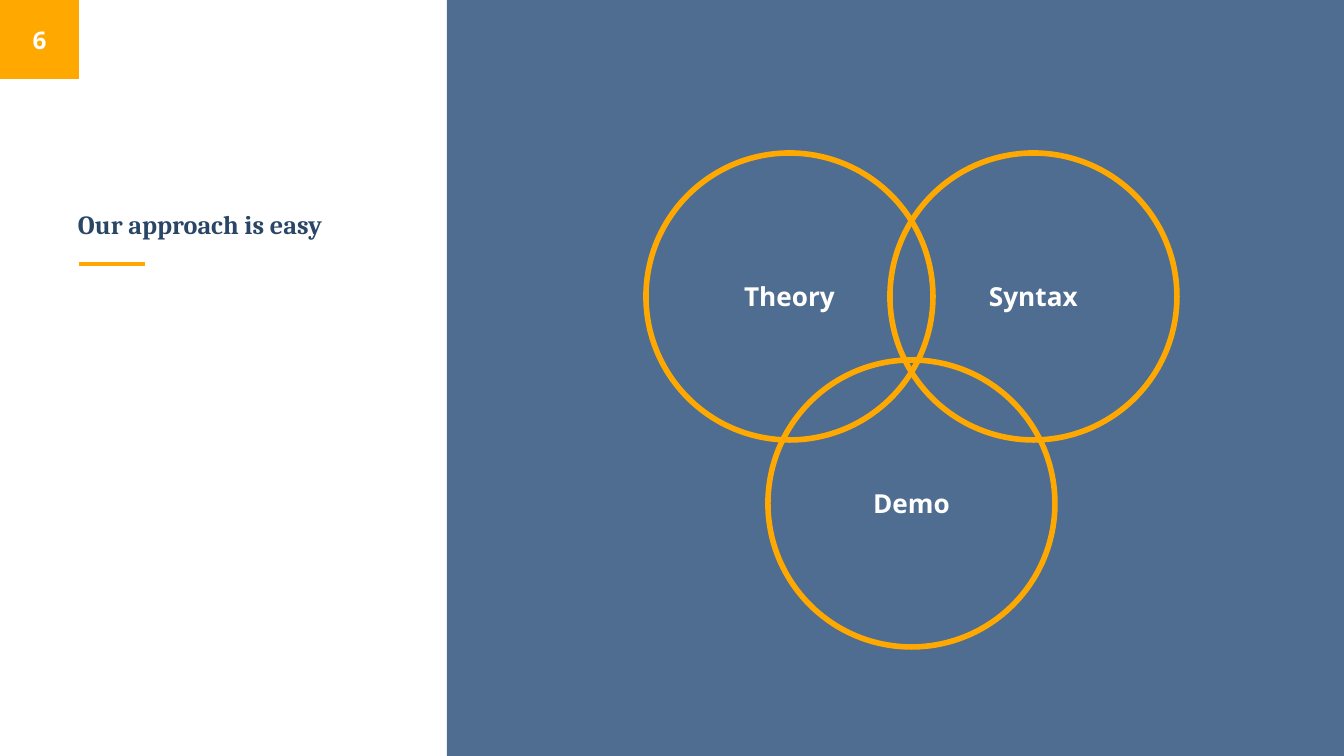
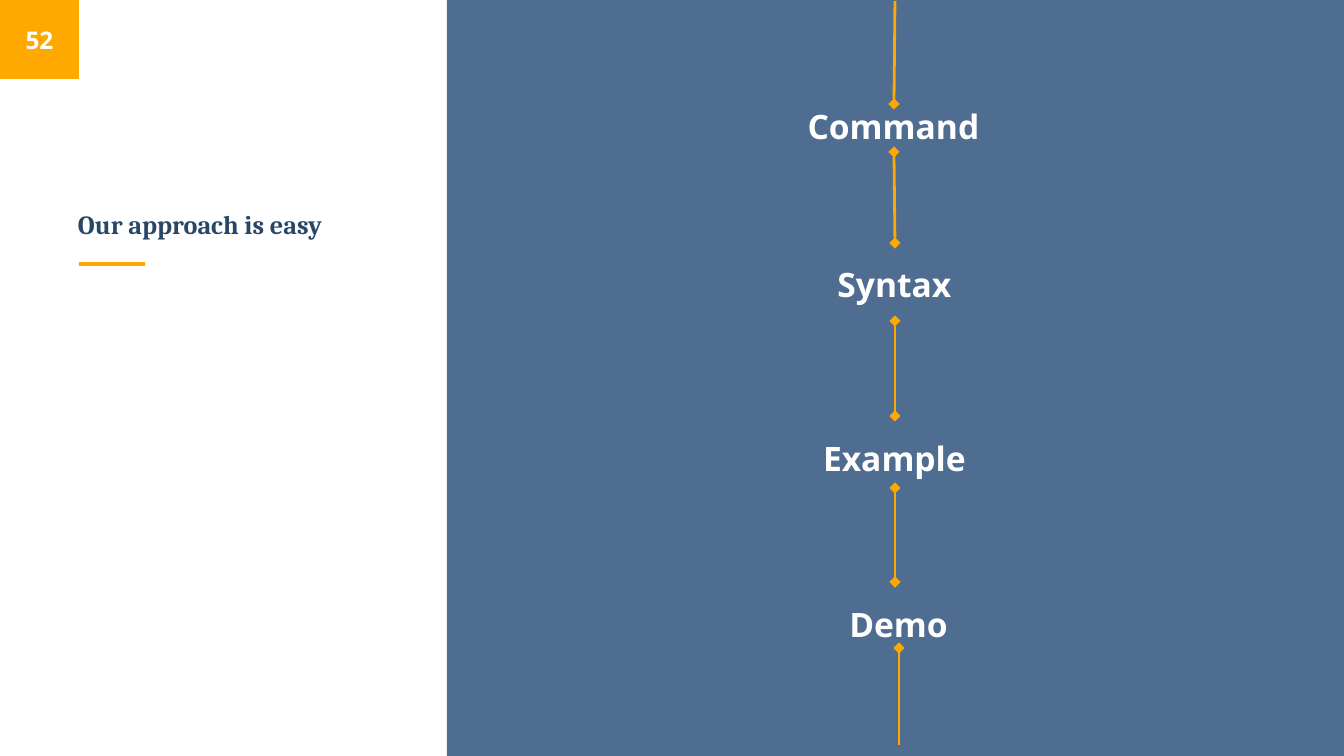
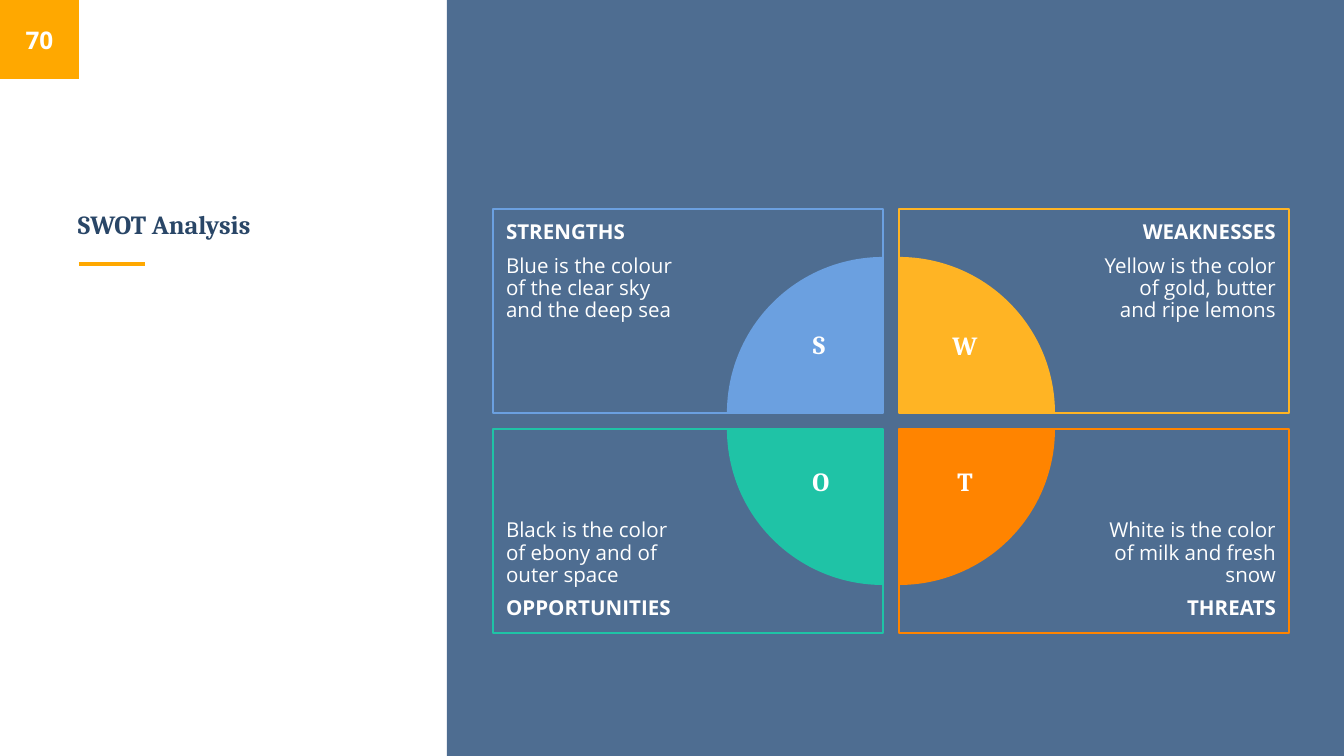
from lxml import etree
from pptx import Presentation
from pptx import util as u
from pptx.dml.color import RGBColor
from pptx.enum import shapes, text
from pptx.oxml import ns

EMU_PER_PX = 914400 / 134.4
SLIDE_W, SLIDE_H = 1344, 756
PANEL_LEFT = 447
BADGE = 79
INSET = 13
AMBER, NAVY, PANEL, WHITE = "FFA800", "294667", "325680", "FFFFFF"
HEADING, BODY = "Cambria", "Open Sans"
LEFT, CENTER, RIGHT = text.PP_ALIGN.LEFT, text.PP_ALIGN.CENTER, text.PP_ALIGN.RIGHT
TOP, MIDDLE, BOTTOM = text.MSO_ANCHOR.TOP, text.MSO_ANCHOR.MIDDLE, text.MSO_ANCHOR.BOTTOM


def px(length):
    return u.Emu(round(length * EMU_PER_PX))


def rgb(hex_code):
    return RGBColor.from_string(hex_code)


def style_font(paragraph, size, color=WHITE, name=BODY, bold=True):
    for run in paragraph.runs:
        run.font.size = u.Pt(size)
        run.font.name = name
        run.font.bold = bold
        run.font.color.rgb = rgb(color)


def set_frame(frame, anchor, insets=(INSET,) * 4):
    frame.word_wrap = True
    frame.vertical_anchor = anchor
    frame.margin_left, frame.margin_top, frame.margin_right, frame.margin_bottom = map(px, insets)


def add_label(slide, words, box, size, color=WHITE, name=BODY, align=CENTER,
              anchor=TOP, insets=(INSET,) * 4):
    label = slide.shapes.add_textbox(*map(px, box))
    set_frame(label.text_frame, anchor, insets)
    label.text_frame.text = words
    paragraph = label.text_frame.paragraphs[0]
    paragraph.alignment = align
    style_font(paragraph, size, color, name)


def add_figure(slide, kind, box, fill=None, outline=None, weight=1):
    figure = slide.shapes.add_shape(kind, *map(px, box))
    figure.shadow.inherit = False
    if fill:
        figure.fill.solid()
        figure.fill.fore_color.rgb = rgb(fill)
    else:
        figure.fill.background()
    if outline:
        figure.line.color.rgb = rgb(outline)
        figure.line.width = u.Pt(weight)
    else:
        figure.line.fill.background()
    return figure


def add_line(slide, start, end, weight, diamonds=()):
    line = slide.shapes.add_connector(shapes.MSO_CONNECTOR.STRAIGHT, *map(px, start + end))
    line.line.color.rgb = rgb(AMBER)
    line.line.width = u.Pt(weight)
    outline = line.line._get_or_add_ln()
    for tip in diamonds:
        etree.SubElement(outline, ns.qn(f"a:{tip}End"), type="diamond")
    etree.SubElement(line._element.spPr, ns.qn("a:effectLst"))


def add_base(deck, title, number):
    slide = deck.slides.add_slide(deck.slide_layouts[6])
    panel = add_figure(slide, shapes.MSO_SHAPE.RECTANGLE,
                       (PANEL_LEFT, 0, SLIDE_W - PANEL_LEFT, SLIDE_H), PANEL)
    panel_color = panel._element.spPr.find(".//" + ns.qn("a:srgbClr"))
    etree.SubElement(panel_color, ns.qn("a:alpha"), val="86000")
    add_line(slide, (79, 264), (145, 264), 2.25)
    add_figure(slide, shapes.MSO_SHAPE.RECTANGLE, (0, 0, BADGE, BADGE), AMBER)
    add_label(slide, title, (65, 153, 316, 100), 14, NAVY, HEADING, LEFT, BOTTOM)
    add_label(slide, str(number), (0, 0, BADGE, BADGE), 13, anchor=MIDDLE)
    return slide


def add_venn(slide):
    diameter, left, step = 287, 646, 122
    for column, (topic, top) in enumerate((("Theory", 153), ("Demo", 360), ("Syntax", 153))):
        circle = add_figure(slide, shapes.MSO_SHAPE.OVAL,
                            (left + column * step, top, diameter, diameter),
                            outline=AMBER, weight=3)
        set_frame(circle.text_frame, MIDDLE)
        circle.text_frame.text = topic
        paragraph = circle.text_frame.paragraphs[0]
        paragraph.alignment = CENTER
        style_font(paragraph, 14)


def add_timeline(slide):
    width, height = 333, 70
    add_line(slide, (895, 1), (894, 104), 1.5, ["tail"])
    for start, end in (((894, 152), (895, 243)), ((895, 321), (895, 416)),
                       ((895, 488), (895, 582))):
        add_line(slide, start, end, 1.5, ["head", "tail"])
    add_line(slide, (899, 648), (899, 745), 1.5, ["head"])
    for stage, left, top in (("Command", 727, 93), ("Syntax", 728, 251),
                             ("Example", 728, 425), ("Demo", 732, 591)):
        add_label(slide, stage, (left, top, width, height), 18)


def add_quadrant(slide, box, color, heading, description, on_right, on_bottom):
    quadrant = add_figure(slide, shapes.MSO_SHAPE.RECTANGLE, box, outline=color, weight=0.75)
    pie_side = 202
    insets = (pie_side, INSET, INSET, INSET) if on_right else (INSET, INSET, pie_side, INSET)
    frame = quadrant.text_frame
    set_frame(frame, BOTTOM if on_bottom else TOP, insets)
    lines = [description, heading] if on_bottom else [heading, description]
    frame.text = "\n".join(lines)
    for paragraph, line in zip(frame.paragraphs, lines):
        paragraph.alignment = RIGHT if on_right else LEFT
        paragraph.line_spacing = 0.9
        style_font(paragraph, 11, bold=line == heading)
    frame.paragraphs[1].space_before = u.Pt(6)
    frame.paragraphs[1].space_after = u.Pt(6)


def add_pie(slide, center, radius, color, rotation):
    x, y = center
    pie = add_figure(slide, shapes.MSO_SHAPE.PIE,
                     (x - radius, y - radius, 2 * radius, 2 * radius), color)
    pie.adjustments[0] = 108
    pie.adjustments[1] = 162
    pie.rotation = rotation


def add_swot(slide):
    left, top, width, height, gap, radius = 493, 209, 390, 204, 16, 156
    parts = (
        ("STRENGTHS", "Blue is the colour of the clear sky and the deep sea",
         "6BA0E0", 0, 0, 0, (819, 321)),
        ("WEAKNESSES", "Yellow is the color of gold, butter and ripe lemons",
         "FFB424", 1, 0, 90, (965, 322)),
        ("OPPORTUNITIES", "Black is the color of ebony and of outer space",
         "1FC3A6", 0, 1, 270, (821, 458)),
        ("THREATS", "White is the color of milk and fresh snow",
         "FF8400", 1, 1, 180, (965, 458)),
    )
    for heading, description, color, column, row, _, _ in parts:
        box = (left + column * (width + gap), top + row * (height + gap), width, height)
        add_quadrant(slide, box, color, heading, description, column, row)
    for _, _, color, column, row, rotation, _ in parts:
        center = (left + width + column * gap, top + height + row * gap)
        add_pie(slide, center, radius, color, rotation)
    for heading, *_, (center_x, letter_top) in parts:
        add_label(slide, heading[0], (center_x - 30, letter_top, 60, 60), 14,
                  name=HEADING, insets=(INSET, 7, INSET, 7))


def main():
    deck = Presentation()
    deck.slide_width, deck.slide_height = px(SLIDE_W), px(SLIDE_H)
    add_venn(add_base(deck, "Our approach is easy", 6))
    add_timeline(add_base(deck, "Our approach is easy", 52))
    add_swot(add_base(deck, "SWOT Analysis", 70))
    deck.save("out.pptx")


if __name__ == "__main__":
    main()
